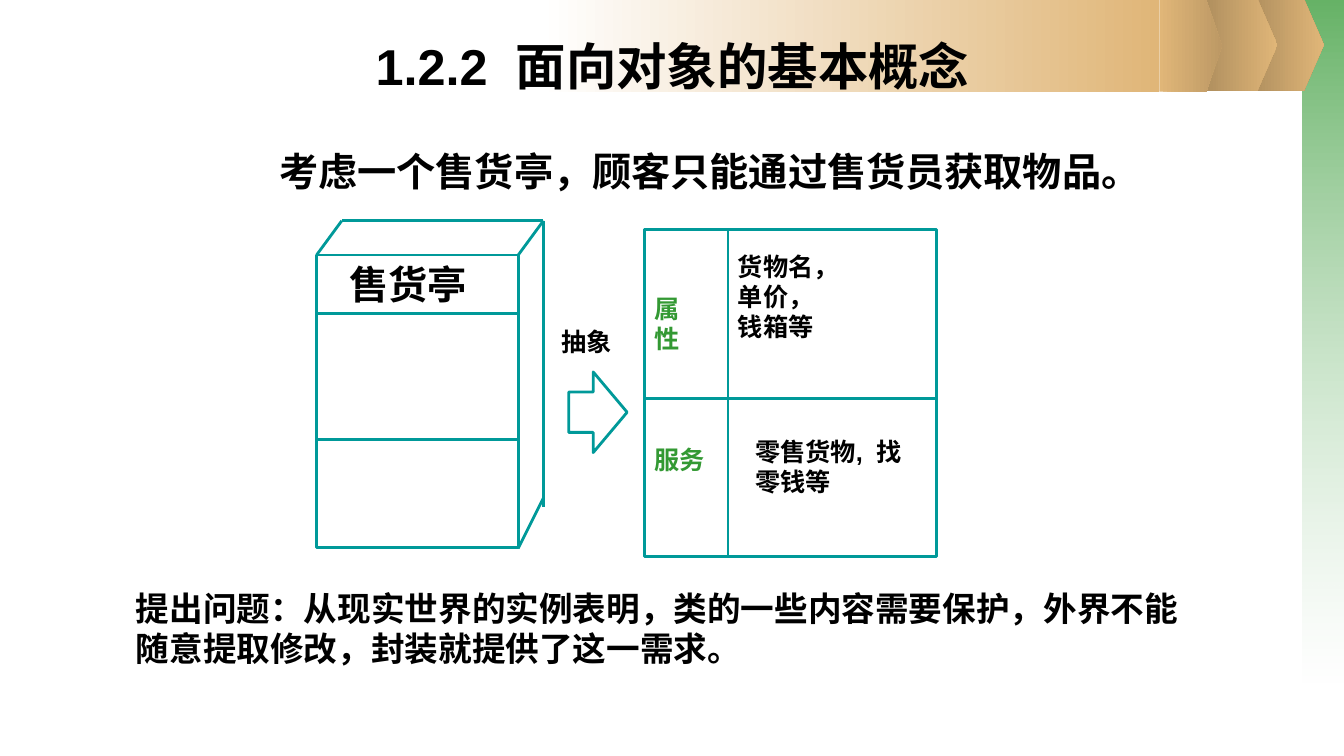
from lxml.etree import SubElement
from pptx import Presentation
from pptx.dml.color import RGBColor
from pptx.enum.shapes import MSO_CONNECTOR, MSO_SHAPE
from pptx.enum.text import MSO_ANCHOR, PP_ALIGN
from pptx.oxml.ns import qn
from pptx.util import Inches, Pt

TEAL = "009999"
GREEN = "339933"
BLACK = "000000"
TAN = "E0B678"


def color(value):
    """Turn a hex string into a colour."""
    return RGBColor.from_string(value)


def add_outline(s, kind, x, y, w, h, adjustments=()):
    """Add an unfilled shape with a teal outline."""
    sp = s.shapes.add_shape(kind, Inches(x), Inches(y), Inches(w), Inches(h))
    sp.shadow.inherit = False
    sp.fill.background()
    sp.line.color.rgb = color(TEAL)
    sp.line.width = Pt(2)
    for i, value in enumerate(adjustments):
        sp.adjustments[i] = value


def add_gradient(s, kind, x, y, w, h, colors, angle=0, alphas=()):
    """Add a borderless shape filled with a two-colour gradient."""
    sp = s.shapes.add_shape(kind, Inches(x), Inches(y), Inches(w), Inches(h))
    sp.shadow.inherit = False
    sp.line.fill.background()
    if kind == MSO_SHAPE.PENTAGON:
        sp.adjustments[0] = 0.25
    sp.fill.gradient()
    sp.fill.gradient_angle = angle
    for stop, value in zip(sp.fill.gradient_stops, colors):
        stop.color.rgb = color(value)
    for clr, alpha in zip(sp._element.spPr.iter(qn("a:srgbClr")), alphas):
        SubElement(clr, qn("a:alpha")).set("val", str(alpha * 1000))


def add_line(s, x1, y1, x2, y2):
    """Add a straight teal line."""
    cx = s.shapes.add_connector(
        MSO_CONNECTOR.STRAIGHT, Inches(x1), Inches(y1), Inches(x2), Inches(y2))
    cx.line.color.rgb = color(TEAL)
    cx.line.width = Pt(2)
    SubElement(cx._element.spPr, qn("a:effectLst"))


def add_text(s, x, y, w, h, lines, size, font="Arial", fill=BLACK,
             align=PP_ALIGN.LEFT, wrap=True):
    """Add a bold text box with one paragraph per line."""
    tf = s.shapes.add_textbox(Inches(x), Inches(y), Inches(w), Inches(h)).text_frame
    tf.word_wrap = wrap
    tf.vertical_anchor = MSO_ANCHOR.TOP
    for i, line in enumerate(lines):
        p = tf.add_paragraph() if i else tf.paragraphs[0]
        p.alignment = align
        r = p.add_run()
        r.text = line
        r.font.name = font
        r.font.size = Pt(size)
        r.font.bold = True
        r.font.color.rgb = color(fill)


def add_banner(s):
    """Add the green side band and the tan top ribbon."""
    add_gradient(s, MSO_SHAPE.RECTANGLE, 12.92, 0, 0.41, 6.77,
                 (GREEN, "FFFFFF"), 270, (75, 37))
    for x in (12.34, 11.88):
        add_gradient(s, MSO_SHAPE.PENTAGON, x, -0.01, 0.79, 0.91, ("AB8B5C", TAN))
    add_gradient(s, MSO_SHAPE.RECTANGLE, 5.36, 0, 6.14, 0.91, ("FFFFFF", TAN))
    add_gradient(s, MSO_SHAPE.PENTAGON, 11.5, 0, 0.62, 0.91, (TAN, "BD9965"))


def add_kiosk(s):
    """Add the kiosk box with its shelves."""
    left, right, top, back, depth = 3.14, 5.14, 2.53, 2.19, 0.25
    add_outline(s, MSO_SHAPE.RECTANGLE, left, top, right - left, 2.9)
    for x in (left, right):
        add_line(s, x, top, x + depth, back)
    add_line(s, left + depth, back, right + depth, back)
    add_line(s, right + depth, back, right + depth, 5.03)
    add_line(s, right + depth, 4.94, right, 5.44)
    for y in (3.11, 4.36):
        add_line(s, left, y, right, y)
    add_text(s, 3.37, 2.53, 1.43, 0.57, ["售货亭"], 28)


def add_class_box(s):
    """Add the class box with its attributes and services."""
    add_outline(s, MSO_SHAPE.RECTANGLE, 6.39, 2.28, 2.9, 3.24)
    add_line(s, 6.39, 3.95, 9.3, 3.95)
    add_line(s, 7.22, 2.28, 7.22, 5.53)
    add_text(s, 6.39, 2.86, 0.45, 0.7, ["属", "性"], 18, fill=GREEN, wrap=False)
    add_text(s, 6.39, 4.36, 0.87, 0.4, ["服务"], 18, fill=GREEN)
    add_text(s, 7.22, 2.44, 2.12, 1.31, ["货物名，", "单价，", "钱箱等"], 18)
    add_text(s, 7.39, 4.28, 1.7, 0.7, ["零售货物,  找零钱等"], 18)


def main():
    """Build the slide and save it."""
    prs = Presentation()
    prs.slide_width, prs.slide_height = Inches(13.33), Inches(7.5)
    s = prs.slides.add_slide(prs.slide_layouts[6])
    add_banner(s)
    add_text(s, 0.67, 0.3, 12, 1.25, ["1.2.2  面向对象的基本概念"], 36,
             align=PP_ALIGN.CENTER)
    add_text(s, 2.67, 1.41, 9, 0.58,
             ["考虑一个售货亭，顾客只能通过售货员获取物品。"], 28, "Times New Roman")
    add_kiosk(s)
    add_class_box(s)
    add_outline(s, MSO_SHAPE.RIGHT_ARROW, 5.64, 3.69, 0.58, 0.8, (0.5, 0.58))
    add_text(s, 5.47, 3.19, 0.7, 0.4, ["抽象"], 18, wrap=False)
    add_text(s, 1.25, 5.78, 10.75, 0.91,
             ["提出问题：从现实世界的实例表明，类的一些内容需要保护，"
              "外界不能随意提取修改，封装就提供了这一需求。"], 24)
    prs.save("out.pptx")


if __name__ == "__main__":
    main()
